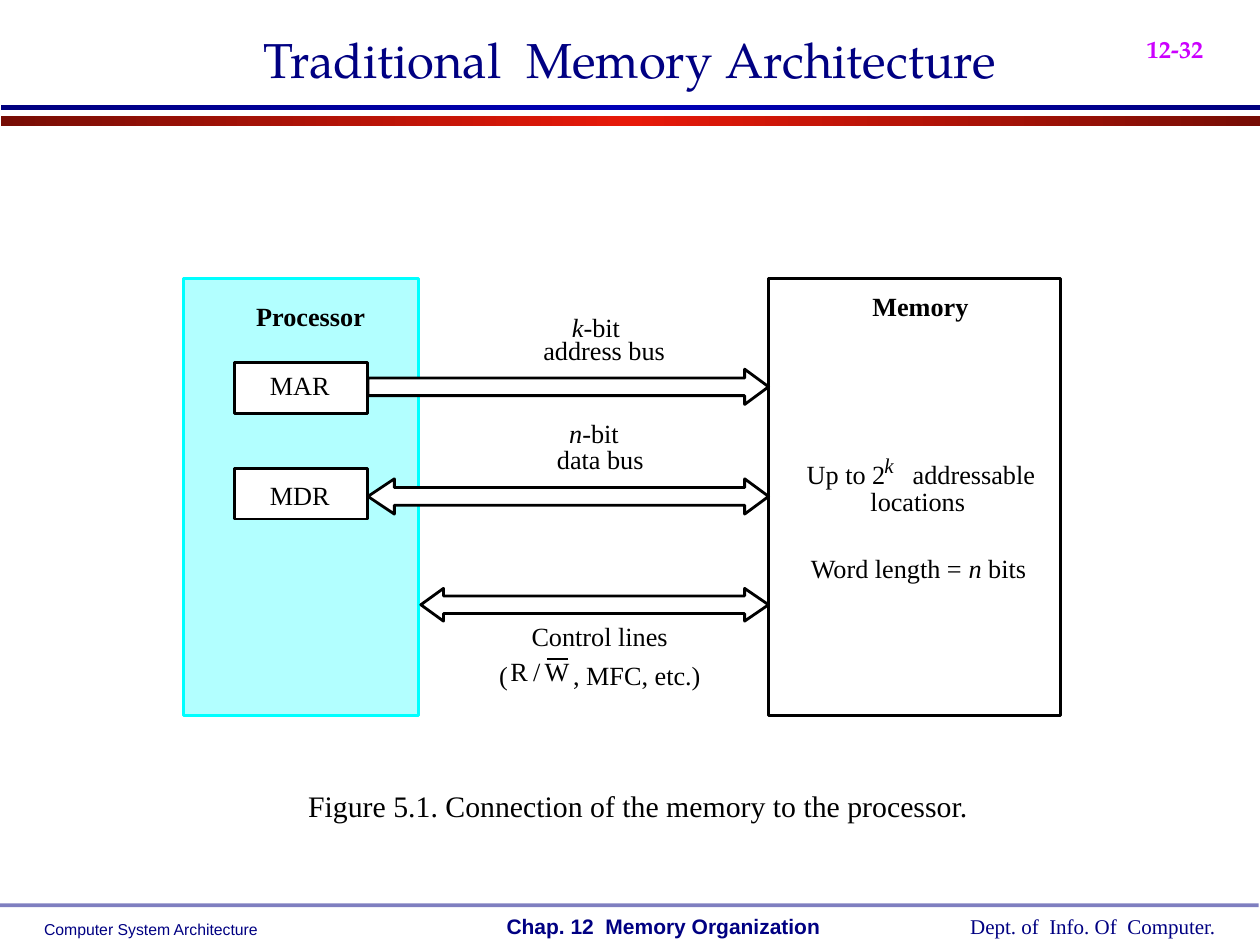
from copy import deepcopy
from lxml.etree import SubElement
from pptx import Presentation
from pptx.dml.color import RGBColor
from pptx.enum.shapes import MSO_CONNECTOR, MSO_SHAPE
from pptx.enum.text import MSO_ANCHOR, PP_ALIGN
from pptx.oxml.ns import qn
from pptx.util import Inches, Pt

NAVY = RGBColor(0x00, 0x00, 0x82)
BLACK = RGBColor(0x00, 0x00, 0x00)
WHITE = RGBColor(0xFF, 0xFF, 0xFF)
CYAN = RGBColor(0x00, 0xFF, 0xFF)
PALE_CYAN = RGBColor(0xB2, 0xFF, 0xFF)
MAGENTA = RGBColor(0xCC, 0x00, 0xFF)
DARK_RED = RGBColor(0x77, 0x0D, 0x05)
RED = RGBColor(0xE7, 0x19, 0x09)
DARK_BLUE = RGBColor(0x00, 0x00, 0x7F)
BLUE = RGBColor(0x00, 0x00, 0xB6)

SERIF, SANS, DISPLAY = "Times New Roman", "Arial", "TeX Gyre Pagella"
COLUMNS, ROWS = 1000, 750
OUTLINE = Pt(1.62)

TITLE = "Traditional  Memory Architecture"
HEADER_BANDS = [
    ((1, 92, 999, 8), DARK_RED, RED),
    ((1, 83, 999, 4), DARK_BLUE, BLUE),
]
FOOTER_RULE = (0, 717, 999, 3)
MARGIN_TEXTS = [
    ("Computer System Architecture", (35, 730, 185, 15), dict(size=9, font=SANS)),
    ("Dept. of  Info. Of  Computer.", (770, 725, 210, 20), dict(size=12)),
    ("Chap. 12  Memory Organization", (402, 725, 265, 20), dict(size=12, font=SANS, bold=True)),
    ("12-32", (910, 5, 88, 46),
     dict(size=24, font=DISPLAY, bold=True, color=MAGENTA, baseline=-25000)),
]

BLOCKS = [
    ((146, 221, 186, 347), PALE_CYAN, CYAN),
    ((610, 221, 232, 347), None, BLACK),
    ((186, 288, 106, 40), WHITE, BLACK),
    ((186, 372, 106, 40), WHITE, BLACK),
]
BUSES = [
    dict(left=292, right=610, middle=307, half_height=14, right_head=19),
    dict(left=292, right=610, middle=394, half_height=14, right_head=19, left_head=21),
    dict(left=334, right=610, middle=480, half_height=13, right_head=19, left_head=18),
]
SHAFT_HALF = 7

LABELS = [
    ("Processor", (203, 238, 87), dict(bold=True)),
    ("Memory", (692, 230, 77), dict(bold=True)),
    ("MAR", (214, 293, 48), {}),
    ("MDR", (214, 380, 48), {}),
    (["*k", "-bit"], (454, 247, 38), {}),
    ("address bus", (431, 265, 97), {}),
    (["*n", "-bit"], (451, 331, 41), {}),
    ("data bus", (442, 352, 69), {}),
    ("Control lines", (422, 492, 108), {}),
    ("(", (396, 523, 7), {}),
    ("R", (405, 520, 14), {}),
    ("/", (423, 520, 6), {}),
    ("W", (432, 520, 20), {}),
    (", MFC, etc.)", (455, 523, 101), {}),
    ("Up to 2", (640, 364, 63), {}),
    ("*k", (702, 359, 7), dict(size=12)),
    ("addressable", (724, 364, 98), {}),
    ("locations", (691, 385, 75), {}),
    (["Word length = ", "*n", " bits"], (642, 438, 174), {}),
    ("Figure 5.1. Connection of the memory to the processor.", (244, 625, 525), dict(size=17)),
]
LABEL_ROWS = 25
LABEL_SLACK = 6
OVERBAR = (434, 523, 451, 523)

deck = Presentation()
deck.slide_width, deck.slide_height = Inches(10), Inches(7.5)
slide = deck.slides.add_slide(deck.slide_layouts[5])
COLUMN, ROW = deck.slide_width / COLUMNS, deck.slide_height / ROWS


def place(*cells):
    return [round(cell * (ROW if index % 2 else COLUMN)) for index, cell in enumerate(cells)]


def write(text, cells=None, holder=None, size=15, font=SERIF, color=NAVY, bold=False,
          align=PP_ALIGN.LEFT, anchor=MSO_ANCHOR.TOP, wrap=False, baseline=None):
    holder = holder or slide.shapes.add_textbox(*place(*cells))
    frame = holder.text_frame
    frame.word_wrap = wrap
    frame.vertical_anchor = anchor
    if not wrap:
        frame.margin_left = frame.margin_right = frame.margin_top = frame.margin_bottom = 0
    paragraph = frame.paragraphs[0]
    paragraph.alignment = align
    for piece in [text] if isinstance(text, str) else text:
        run = paragraph.add_run()
        run.text = piece.removeprefix("*")
        run.font.size, run.font.name = Pt(size), font
        run.font.bold, run.font.italic = bold, piece.startswith("*")
        run.font.color.rgb = color
        if baseline:
            run.font._element.set("baseline", str(baseline))


def paint(part, fill, line):
    part.shadow.inherit = False
    if fill is None:
        part.fill.background()
    else:
        part.fill.solid()
        part.fill.fore_color.rgb = fill
    if line is None:
        part.line.fill.background()
    else:
        part.line.color.rgb = line
        part.line.width = OUTLINE


def block(cells, fill=None, line=None):
    rectangle = slide.shapes.add_shape(MSO_SHAPE.RECTANGLE, *place(*cells))
    paint(rectangle, fill, line)
    return rectangle


def header_band(cells, edge, center):
    band = block(cells)
    band.fill.gradient()
    band.fill.gradient_angle = 0
    first, last = band.fill.gradient_stops
    first.color.rgb, first.position = center, 0.5
    last.color.rgb, last.position = edge, 1
    stops = band._element.spPr.find(qn("a:gradFill")).find(qn("a:gsLst"))
    start = deepcopy(stops[1])
    start.set("pos", "0")
    stops.insert(0, start)


def bus(left, right, middle, half_height, right_head, left_head=0):
    neck = right - right_head
    upper = [(left + left_head, SHAFT_HALF), (neck, SHAFT_HALF), (neck, half_height)]
    if left_head:
        upper.insert(0, (left + left_head, half_height))
    outline = [(x, middle - rise) for x, rise in upper] + [(right, middle)]
    outline += [(x, middle + rise) for x, rise in reversed(upper)]
    if left_head:
        outline.append((left, middle))
    points = [place(*point) for point in outline]
    builder = slide.shapes.build_freeform(*points[0])
    builder.add_line_segments(points[1:], close=True)
    paint(builder.convert_to_shape(), WHITE, BLACK)


for band_parts in HEADER_BANDS:
    header_band(*band_parts)
footer_rule = block(FOOTER_RULE, NAVY)
footer_color = footer_rule._element.spPr.find(qn("a:solidFill"))[0]
SubElement(footer_color, qn("a:alpha"), val="50000")

title = slide.shapes.title
title.left, title.top, title.width, title.height = place(75, 0, 850, 75)
write(TITLE, holder=title, size=28, font=DISPLAY, align=PP_ALIGN.CENTER,
      anchor=MSO_ANCHOR.BOTTOM, wrap=True)
for text, cells, style in MARGIN_TEXTS:
    write(text, cells, **style)

for block_parts in BLOCKS:
    block(*block_parts)
for bus_parts in BUSES:
    bus(**bus_parts)
for text, (left, top, width), style in LABELS:
    write(text, (left - LABEL_SLACK, top, width + 2 * LABEL_SLACK, LABEL_ROWS),
          color=BLACK, align=PP_ALIGN.CENTER, **style)

overbar = slide.shapes.add_connector(MSO_CONNECTOR.STRAIGHT, *place(*OVERBAR))
overbar.line.color.rgb = BLACK
overbar.line.width = OUTLINE
SubElement(overbar._element.spPr, qn("a:effectLst"))

deck.save("out.pptx")
